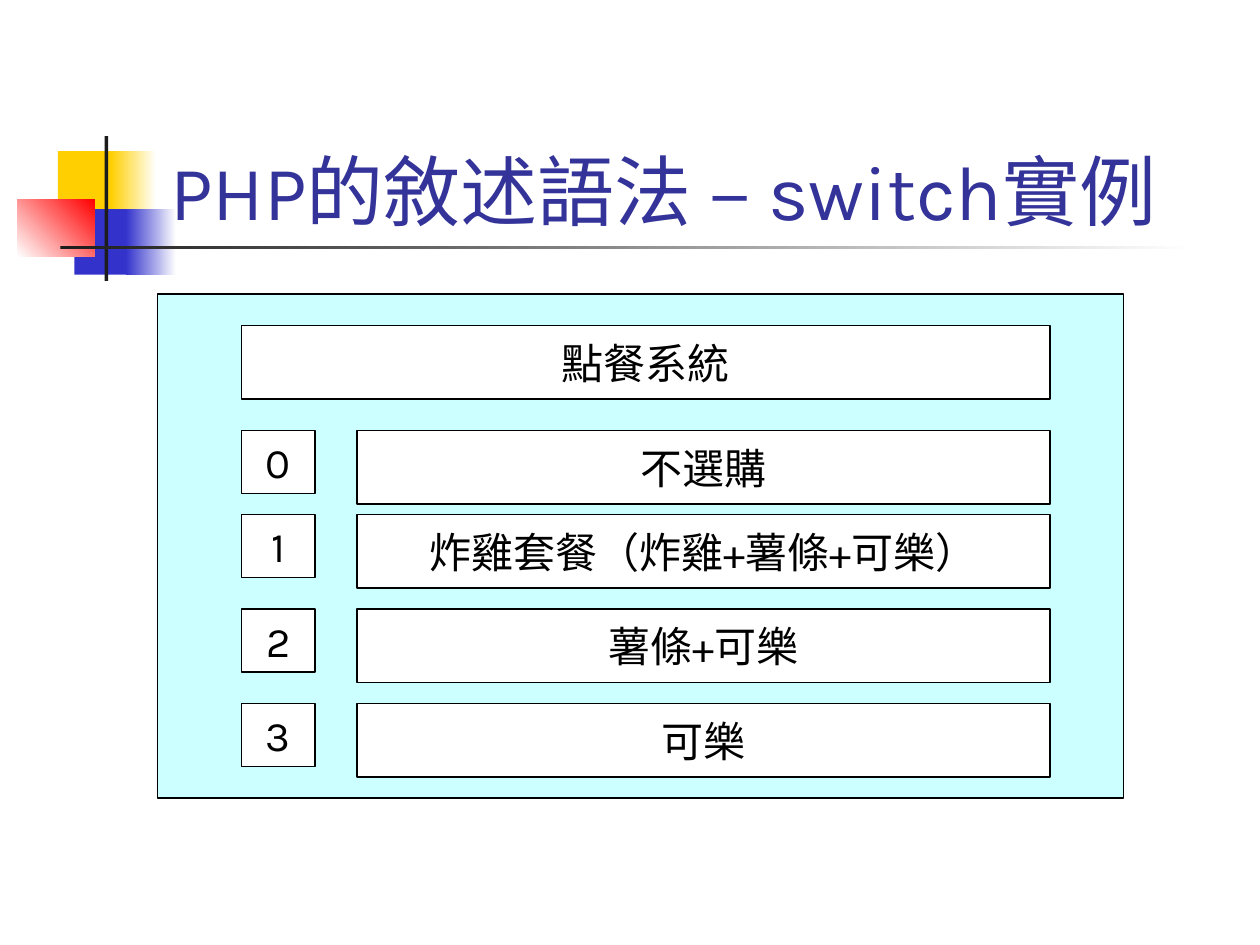
"""Build the slide on the PHP switch example: an ordering menu."""
from pptx import Presentation
from pptx.dml.color import RGBColor
from pptx.enum.shapes import MSO_SHAPE as Shape
from pptx.enum.text import MSO_ANCHOR as Anchor, MSO_AUTO_SIZE as Auto, PP_ALIGN as Align
from pptx.util import Inches, Pt

FONT = "Karla"
UNIT = 1 / 12
TITLE = "PHP的敘述語法 – switch實例"
HEAD = "點餐系統"
MENU = [(41, "不選購"), (49, "炸雞套餐（炸雞+薯條+可樂）"), (58, "薯條+可樂"), (67, "可樂")]
DECOR = [
    ((0.46, 1.2, 0.48, 0.52), ["FFCF01"], 0),
    ((0.88, 1.2, 0.36, 0.52), ["FFCF01", "FFFFFF"], 0),
    ((0.59, 1.66, 0.46, 0.52), ["3333CC"], 0),
    ((1, 1.66, 0.4, 0.52), ["3333CC", "FFFFFF"], 0),
    ((0.14, 1.58, 0.61, 0.46), ["FFFFFF", "FF0000"], 45),
    ((0.83, 1.08, 0.03, 1.15), ["1C1C1C"], 0),
    ((0.48, 1.95, 9, 0.03), ["1C1C1C", "FFFFFF"], 0),
]


def color(code):
    """Turn a hex string into a colour."""
    return RGBColor.from_string(code)


def write(shape, text, size=24, ink="000000", align=Align.CENTER, anchor=Anchor.MIDDLE, wrap=False):
    """Put formatted text into a shape."""
    frame = shape.text_frame
    frame.text = text
    frame.auto_size = Auto.NONE
    frame.word_wrap = wrap
    frame.vertical_anchor = anchor
    para = frame.paragraphs[0]
    para.alignment = align
    font = para.runs[0].font
    font.name, font.size = FONT, Pt(size)
    font.color.rgb = color(ink)


def draw(slide, place, fills, angle=0, kind=Shape.RECTANGLE, line=None):
    """Add a shape with a plain or gradient fill."""
    shape = slide.shapes.add_shape(kind, *map(Inches, place))
    shape.shadow.inherit = False
    if len(fills) == 1:
        shape.fill.solid()
        shape.fill.fore_color.rgb = color(fills[0])
    else:
        shape.fill.gradient()
        shape.fill.gradient_angle = angle
        for stop, code in zip(shape.fill.gradient_stops, fills):
            stop.color.rgb = color(code)
    if line:
        shape.line.color.rgb = color(line)
        shape.line.width = Pt(0.75)
    else:
        shape.line.fill.background()
    return shape


def box(slide, cells, text=None, fill="FFFFFF", kind=Shape.FLOWCHART_PROCESS):
    """Add an outlined box placed in grid units."""
    shape = draw(slide, [n * UNIT for n in cells], [fill], kind=kind, line="000000")
    if text:
        write(shape, text)


def main():
    """Lay out the slide and save it."""
    deck = Presentation()
    deck.slide_width, deck.slide_height = Inches(10), Inches(7.5)
    slide = deck.slides.add_slide(deck.slide_layouts[5])
    for place, fills, angle in DECOR:
        draw(slide, place, fills, angle)

    title = slide.shapes.title
    title.left, title.top, title.width, title.height = map(Inches, (1.25, 0.67, 8.52, 1.25))
    write(title, TITLE, size=44, ink="333399", align=Align.LEFT, anchor=Anchor.BOTTOM, wrap=True)

    box(slide, (15, 28, 92, 48), fill="CCFFFF", kind=Shape.RECTANGLE)
    box(slide, (23, 31, 77, 7), HEAD)
    for index, (row, dish) in enumerate(MENU):
        box(slide, (23, row, 7, 6), str(index))
        box(slide, (34, row, 66, 7), dish)
    deck.save("out.pptx")


if __name__ == "__main__":
    main()
